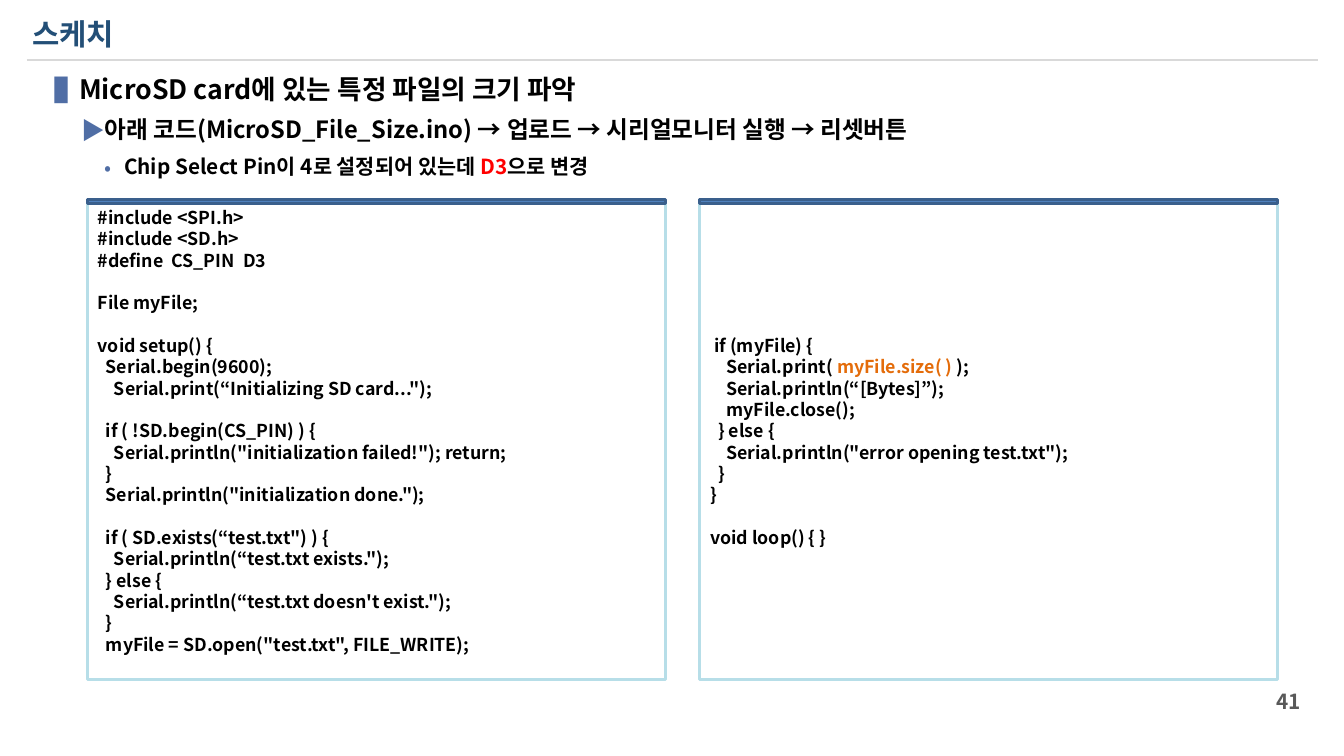
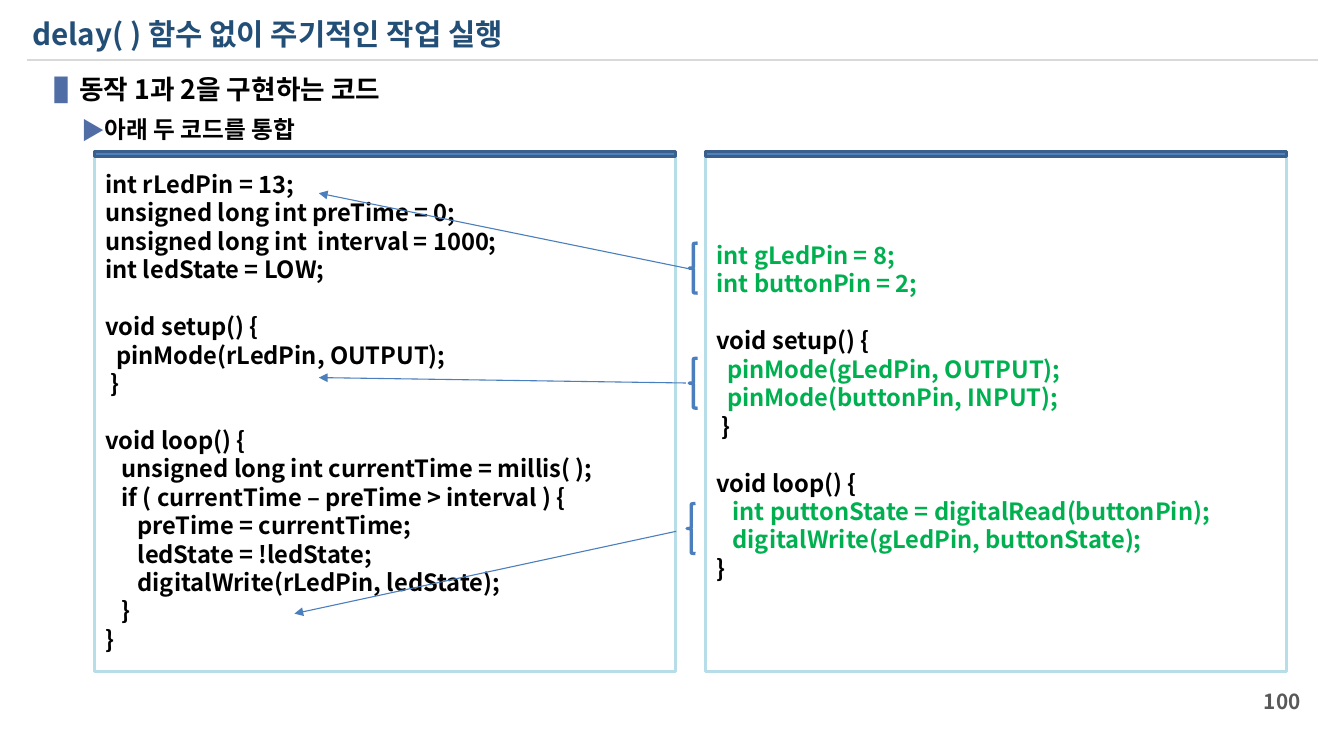
import pptx
import pptx.util
import pptx.dml.color
import pptx.enum.shapes
import pptx.enum.text
import pptx.oxml
import pptx.oxml.ns
from lxml import etree

Cm, Pt = pptx.util.Cm, pptx.util.Pt
SHAPE = pptx.enum.shapes.MSO_SHAPE
ALIGN = pptx.enum.text.PP_ALIGN
MIDDLE = pptx.enum.text.MSO_ANCHOR.MIDDLE
qn = pptx.oxml.ns.qn

# Shared look
FONT = "Noto Sans CJK KR"
LEADING = 1.2
BLACK, NAVY, GREY, RULE = "000000", "234F77", "595959", "D9D9D9"
RED, ORANGE, GREEN = "FF0000", "E46C0A", "00B050"
BULLET, FRAME, BAR, BAR_EDGE, LINK = "506EA5", "B7DEE8", "4F81BD", "3A5F8C", "4B7EBC"
# bullet, size, left margin (cm), hanging indent (cm), space before
LEVELS = [("▐", 18, 0.89, 0.89, 0), ("▶", 16, 1.47, 0.53, 7), ("•", 14, 1.96, 0.46, 7)]

# Content: a line is a string or a list of (text, colour); code is a list of blocks
SLIDES = [
    {
        "title": "스케치",
        "number": "41",
        "points": [
            "MicroSD card에 있는 특정 파일의 크기 파악",
            "아래 코드(MicroSD_File_Size.ino) → 업로드 → 시리얼모니터 실행 → 리셋버튼",
            [("Chip Select Pin이 4로 설정되어 있는데 ", BLACK), ("D3", RED), ("으로 변경", BLACK)],
        ],
        "code_size": 12,
        "panel": {"lefts": (2.08, 16.66), "top": 4.85, "width": 13.77, "height": 11.33,
                  "bar_top": 4.75, "bar_height": 0.1},
        "bottom_inset": (0.64, 0.13),
        "code": [
            [
                ["#include <SPI.h>", "#include <SD.h>", "#define  CS_PIN  D3"],
                ["File myFile;"],
                ["void setup() {",
                 "  Serial.begin(9600);",
                 "    Serial.print(“Initializing SD card...\");"],
                ["  if ( !SD.begin(CS_PIN) ) {",
                 "    Serial.println(\"initialization failed!\"); return;",
                 "  }",
                 "  Serial.println(\"initialization done.\");"],
                ["  if ( SD.exists(“test.txt\") ) {",
                 "    Serial.println(“test.txt exists.\");",
                 "  } else {",
                 "    Serial.println(“test.txt doesn't exist.\");",
                 "  }",
                 "  myFile = SD.open(\"test.txt\", FILE_WRITE);"],
            ],
            [
                [" if (myFile) {",
                 [("    Serial.print( ", BLACK), ("myFile.size( )", ORANGE), (" );", BLACK)],
                 "    Serial.println(“[Bytes]”);",
                 "    myFile.close();",
                 "  } else {",
                 "    Serial.println(\"error opening test.txt\");",
                 "  }",
                 "}"],
                ["void loop() { }"],
            ],
        ],
        "merges": [],
    },
    {
        "title": "delay( ) 함수 없이 주기적인 작업 실행",
        "number": "100",
        "points": ["동작 1과 2을 구현하는 코드", "아래 두 코드를 통합"],
        "code_size": 16,
        "panel": {"lefts": (2.26, 16.81), "top": 3.6, "width": 13.82, "height": 12.4,
                  "bar_top": 3.6, "bar_height": 0.13},
        "bottom_inset": (0.13, 0.13),
        "code": [
            [
                ["int rLedPin = 13;",
                 "unsigned long int preTime = 0;",
                 "unsigned long int  interval = 1000;",
                 "int ledState = LOW;"],
                ["void setup() {", "  pinMode(rLedPin, OUTPUT);", " }"],
                ["void loop() {",
                 "   unsigned long int currentTime = millis( );",
                 "   if ( currentTime – preTime > interval ) {",
                 "      preTime = currentTime;",
                 "      ledState = !ledState;",
                 "      digitalWrite(rLedPin, ledState);",
                 "   }",
                 "}"],
            ],
            [
                [[("int gLedPin = 8;", GREEN)], [("int buttonPin = 2;", GREEN)]],
                ["void setup() {",
                 [("  pinMode(gLedPin, OUTPUT);", GREEN)],
                 [("  pinMode(buttonPin, INPUT);", GREEN)],
                 " }"],
                ["void loop() {",
                 [("   int puttonState = digitalRead(buttonPin);", GREEN)],
                 [("   digitalWrite(gLedPin, buttonState);", GREEN)],
                 "}"],
            ],
        ],
        # brace corner, arrow start, arrow end (cm)
        "merges": [
            ((16.41, 5.79), (16.41, 6.4), (7.59, 4.6)),
            ((16.41, 8.53), (16.33, 9.12), (7.59, 8.99)),
            ((16.36, 11.99), (16.1, 12.65), (7.01, 14.61)),
        ],
    },
]


def rgb(hex_colour):
    return pptx.dml.color.RGBColor.from_string(hex_colour)


def cms(*lengths):
    return [Cm(length) for length in lengths]


def write(paragraph, line, size, colour=BLACK, align=ALIGN.LEFT, before=0):
    paragraph.alignment = align
    paragraph.line_spacing = Pt(size * LEADING)
    paragraph.space_before = Pt(before)
    for text, run_colour in [(line, colour)] if isinstance(line, str) else line:
        run = paragraph.add_run()
        run.text = text
        run.font.size, run.font.bold, run.font.name = Pt(size), True, FONT
        run.font.color.rgb = rgb(run_colour)
        east_asian = etree.SubElement(run.font._element, qn("a:ea"))
        east_asian.set("typeface", FONT)


def paragraphs(frame, count):
    return [frame.paragraphs[0]] + [frame.add_paragraph() for _ in range(count - 1)]


def add_bullet(paragraph, char, margin, hanging):
    props = paragraph._p.get_or_add_pPr()
    props.set("marL", str(Cm(margin)))
    props.set("indent", str(-Cm(hanging)))
    bullet_colour = etree.SubElement(props, qn("a:buClr"))
    etree.SubElement(bullet_colour, qn("a:srgbClr")).set("val", BULLET)
    etree.SubElement(props, qn("a:buFont")).set("typeface", FONT)
    etree.SubElement(props, qn("a:buChar")).set("char", char)


def add_outline(slide, preset, box, line, width, fill=None):
    shape = slide.shapes.add_shape(preset, *cms(*box))
    shape.shadow.inherit = False
    shape.line.color.rgb, shape.line.width = rgb(line), Pt(width)
    if fill:
        shape.fill.solid()
        shape.fill.fore_color.rgb = rgb(fill)
    else:
        shape.fill.background()
    return shape


def add_line(slide, start, end, colour, width, arrow=False):
    line = slide.shapes.add_connector(
        pptx.enum.shapes.MSO_CONNECTOR.STRAIGHT, *cms(*start, *end))
    line.line.color.rgb, line.line.width = rgb(colour), Pt(width)
    if arrow:
        etree.SubElement(line.line._get_or_add_ln(), qn("a:tailEnd")).set("type", "triangle")
    etree.SubElement(line._element.spPr, qn("a:effectLst"))
    return line


def add_panel(slide, left, panel, blocks, size, bottom_inset):
    frame = add_outline(slide, SHAPE.RECTANGLE,
                        (left, panel["top"], panel["width"], panel["height"]), FRAME, 2)
    text = frame.text_frame
    text.word_wrap, text.vertical_anchor = True, MIDDLE
    text.margin_bottom = Cm(bottom_inset)
    # Each block after the first starts one line lower
    lines = [(line, size * LEADING if b and not i else 0)
             for b, block in enumerate(blocks) for i, line in enumerate(block)]
    for paragraph, (line, before) in zip(paragraphs(text, len(lines)), lines):
        write(paragraph, line, size, before=before)
    add_outline(slide, SHAPE.RECTANGLE,
                (left, panel["bar_top"], panel["width"], panel["bar_height"]),
                BAR_EDGE, 2, BAR)


def place(shape, box):
    shape.left, shape.top, shape.width, shape.height = cms(*box)


def build_slide(deck, layout, content):
    slide = deck.slides.add_slide(layout)
    title, body = slide.placeholders
    write(title.text_frame.paragraphs[0], content["title"], 20, NAVY)

    # Bulleted points, one level deeper each
    points = content["points"]
    for depth, paragraph in enumerate(paragraphs(body.text_frame, len(points))):
        char, size, margin, hanging, before = LEVELS[depth]
        paragraph.level = depth
        add_bullet(paragraph, char, margin, hanging)
        write(paragraph, points[depth], size, before=before)

    # Page number
    number = slide.shapes.add_textbox(*cms(28.83, 16.2, 2.39, 0.97)).text_frame
    number.word_wrap, number.vertical_anchor = True, MIDDLE
    write(number.paragraphs[0], content["number"], 14, GREY, ALIGN.RIGHT)

    # Code panels
    panel = content["panel"]
    for left, blocks, inset in zip(panel["lefts"], content["code"], content["bottom_inset"]):
        add_panel(slide, left, panel, blocks, content["code_size"], inset)

    # Braces with arrows to the place where the code goes
    for corner, start, end in content["merges"]:
        add_outline(slide, SHAPE.LEFT_BRACE, (*corner, 0.2, 1.19), LINK, 2.25)
        add_line(slide, start, end, LINK, 0.75, arrow=True)
    return slide


def main():
    deck = pptx.Presentation()
    deck.slide_width, deck.slide_height = cms(32, 18)

    # Layout shared by the slides
    layout = deck.slide_layouts[1]
    place(layout.placeholders[0], (0.51, 0.23, 30.12, 1.12))
    place(layout.placeholders[1], (0.74, 1.6, 30.5, 4.85))

    slides = [build_slide(deck, layout, content) for content in SLIDES]

    # The rule under the title belongs to the layout
    rule = add_line(slides[0], (0.64, 1.42), (31.39, 1.42), RULE, 1.5)
    layout.shapes._spTree.append(rule._element)
    deck.save("out.pptx")


if __name__ == "__main__":
    main()
